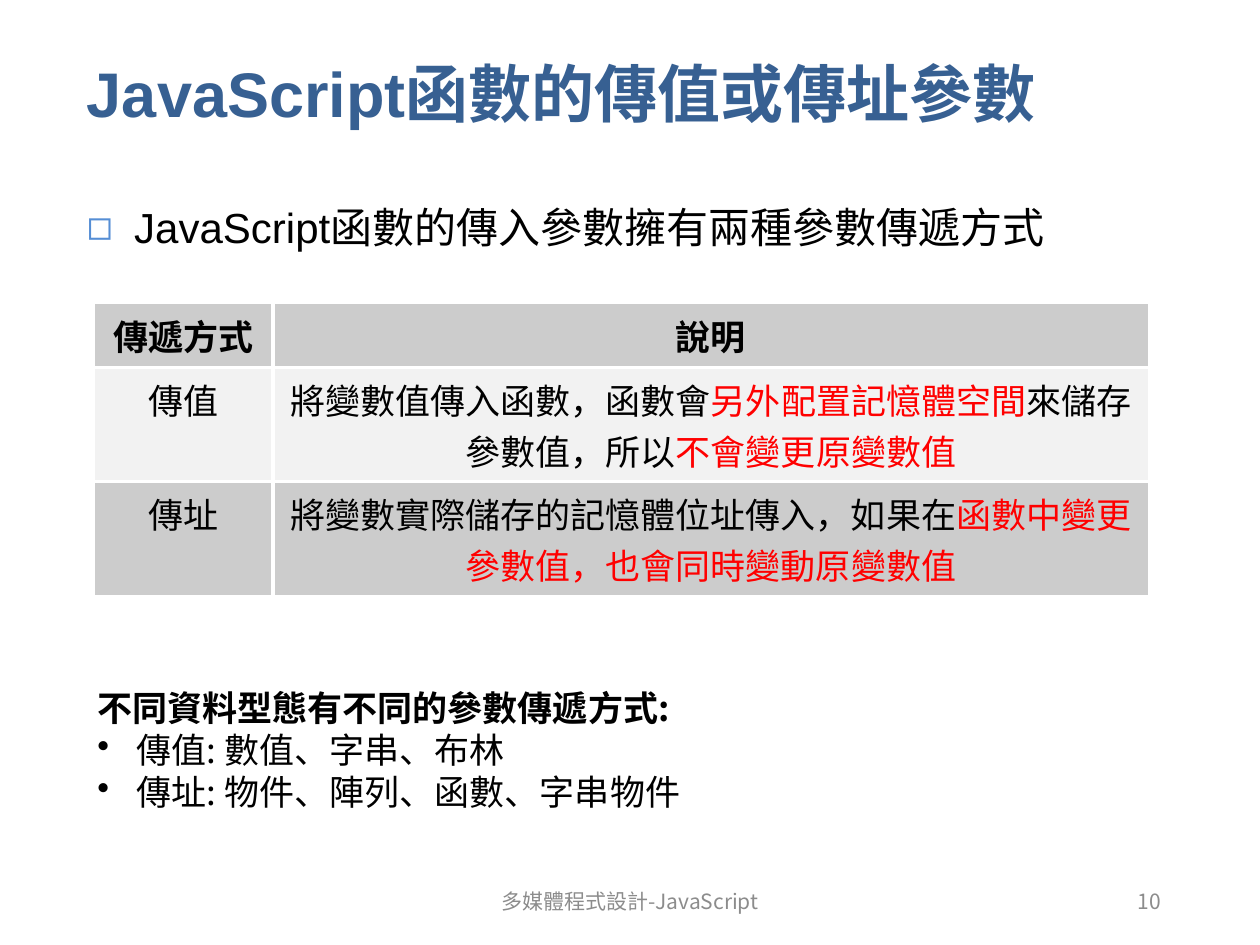
from typing import NamedTuple

from lxml.etree import SubElement
from pptx import Presentation
from pptx.dml.color import RGBColor
from pptx.enum.text import MSO_ANCHOR as Anchor, MSO_AUTO_SIZE as Fit, PP_ALIGN as Align
from pptx.oxml import parse_xml
from pptx.oxml.ns import nsdecls, qn
from pptx.util import Pt

BLACK, RED, WHITE = "000000", "FF0000", "FFFFFF"
GREY, DARK, LIGHT = "8C8C8C", "CCCCCC", "F2F2F2"
NOTO, TIMES, ARIAL = "Noto Sans CJK KR", "Times New Roman", "Arial"


class Style(NamedTuple):
    size: float
    face: str
    color: str = BLACK
    bold: bool = False


class Box(NamedTuple):
    left: float
    top: float
    width: float
    height: float


class Row(NamedTuple):
    height: float
    fill: str
    style: Style
    cells: list  # each cell is a list of (text, color) runs


class Foot(NamedTuple):
    text: str
    box: Box
    align: Align


def tint(code: str) -> RGBColor:
    return RGBColor.from_string(code)


def add_run(para, text: str, style: Style) -> None:
    run = para.add_run()
    run.text = text
    font = run.font
    font.size, font.name, font.bold = Pt(style.size), style.face, style.bold
    font.color.rgb = tint(style.color)
    east = SubElement(run._r.get_or_add_rPr(), qn("a:ea"))
    east.set("typeface", NOTO)


def add_bullet(para, char: str, indent: float, color: str = BLACK) -> None:
    props = para._p.get_or_add_pPr()
    props.set("marL", str(Pt(indent)))
    props.set("indent", str(-Pt(indent)))
    shade = SubElement(SubElement(props, qn("a:buClr")), qn("a:srgbClr"))
    shade.set("val", color)
    SubElement(props, qn("a:buChar")).set("char", char)


def place(shape, box: Box) -> None:
    shape.left, shape.top, shape.width, shape.height = (Pt(v) for v in box)


def add_box(slide, box: Box):
    """Add an empty wrapping text box and return its text frame."""
    frame = slide.shapes.add_textbox(*(Pt(v) for v in box)).text_frame
    frame.word_wrap = True
    return frame


def add_edges(cell, sides: str) -> None:
    """Draw white 2 pt borders on the sides given, in L, R, T, B order."""
    props = cell._tc.get_or_add_tcPr()
    for spot, side in enumerate(sides):
        props.insert(spot, parse_xml(
            f'<a:ln{side} {nsdecls("a")} w="{Pt(2)}"><a:solidFill>'
            f'<a:srgbClr val="{WHITE}"/></a:solidFill></a:ln{side}>'))


def add_grid(slide, box: Box, widths: list[float], rows: list[Row]) -> None:
    frame = slide.shapes.add_table(len(rows), len(widths), *(Pt(v) for v in box))
    table = frame.table
    for col, width in zip(table.columns, widths):
        col.width = Pt(width)
    for i, row in enumerate(rows):
        table.rows[i].height = Pt(row.height)
        for j, runs in enumerate(row.cells):
            cell = table.cell(i, j)
            cell.fill.solid()
            cell.fill.fore_color.rgb = tint(row.fill)
            sides = "L" if j else "R"
            sides += "T" if i else ""
            sides += "B" if i < len(rows) - 1 else ""
            add_edges(cell, sides)
            para = cell.text_frame.paragraphs[0]
            para.alignment = Align.CENTER
            for text, color in runs:
                add_run(para, text, row.style._replace(color=color))


PLAIN = Style(20, TIMES)
ROWS = [
    Row(36.5, DARK, PLAIN._replace(bold=True),
        [[("傳遞方式", BLACK)], [("說明", BLACK)]]),
    Row(52, LIGHT, PLAIN,
        [[("傳值", BLACK)],
         [("將變數值傳入函數，函數會", BLACK), ("另外配置記憶體空間", RED),
          ("來儲存參數值，所以", BLACK), ("不會變更原變數值", RED)]]),
    Row(52, DARK, PLAIN,
        [[("傳址", BLACK)],
         [("將變數實際儲存的記憶體位址傳入，如果在", BLACK),
          ("函數中變更參數值，也會同時變動原變數值", RED)]]),
]
HEAD = "不同資料型態有不同的參數傳遞方式:"
TYPES = ["傳值: 數值、字串、布林", "傳址: 物件、陣列、函數、字串物件"]
FEET = [
    Foot("多媒體程式設計-JavaScript", Box(238.5, 500.5, 243, 28.5), Align.CENTER),
    Foot("10", Box(508.5, 500.5, 162, 28.5), Align.RIGHT),
]


def main() -> None:
    deck = Presentation()
    deck.slide_width, deck.slide_height = Pt(720), Pt(540)
    slide = deck.slides.add_slide(deck.slide_layouts[1])

    title, body = slide.placeholders
    place(title, Box(42.5, 3.5, 628, 98.5))
    title.text_frame.vertical_anchor = Anchor.MIDDLE
    para = title.text_frame.paragraphs[0]
    para.alignment = Align.LEFT
    add_run(para, "JavaScript函數的傳值或傳址參數", Style(36, ARIAL, "376092", True))

    place(body, Box(42.5, 111.5, 628, 380))
    para = body.text_frame.paragraphs[0]
    add_bullet(para, "◻", 27, "558ED5")
    add_run(para, "JavaScript函數的傳入參數擁有兩種參數傳遞方式", Style(24, ARIAL))

    add_grid(slide, Box(54, 173.5, 602.5, 140.5), [102, 500.5], ROWS)

    frame = add_box(slide, Box(48.5, 389, 436.5, 80))
    frame.auto_size = Fit.SHAPE_TO_FIT_TEXT
    for i, text in enumerate([HEAD, *TYPES]):
        para = frame.add_paragraph() if i else frame.paragraphs[0]
        para.line_spacing = Pt(24)
        if i:
            add_bullet(para, "•", 22.5)
        add_run(para, text, Style(20, NOTO, bold=not i))

    for foot in FEET:
        frame = add_box(slide, foot.box)
        frame.vertical_anchor = Anchor.MIDDLE
        para = frame.paragraphs[0]
        para.alignment = foot.align
        add_run(para, foot.text, Style(12, NOTO, GREY))

    deck.save("out.pptx")


if __name__ == "__main__":
    main()
